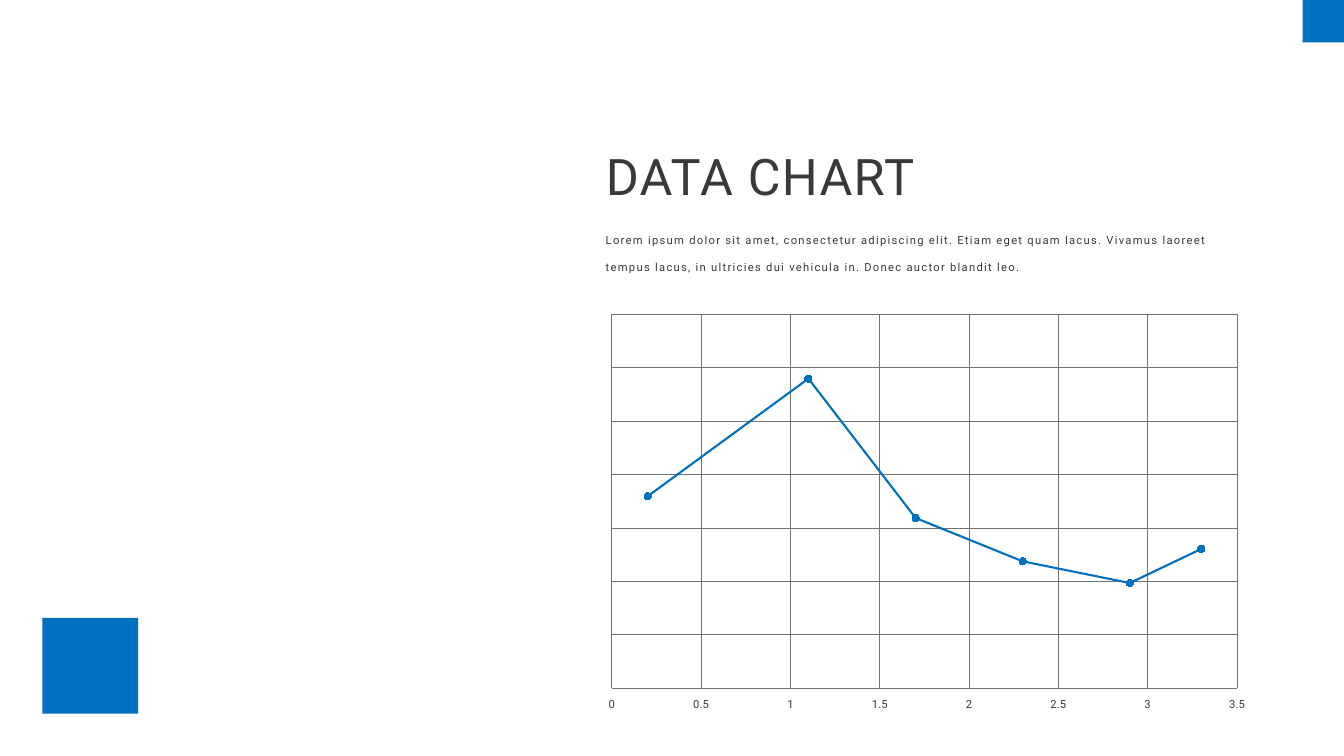
from lxml.etree import SubElement
from pptx import Presentation
from pptx.chart.data import XyChartData
from pptx.dml.color import RGBColor
from pptx.enum.chart import XL_CHART_TYPE as ChartType
from pptx.enum.chart import XL_MARKER_STYLE as Marker
from pptx.enum.chart import XL_TICK_LABEL_POSITION as LabelPos
from pptx.enum.chart import XL_TICK_MARK as Tick
from pptx.enum.shapes import MSO_SHAPE as Shape
from pptx.enum.text import MSO_ANCHOR as Anchor
from pptx.enum.text import MSO_AUTO_SIZE as AutoSize
from pptx.enum.text import PP_ALIGN as Align
from pptx.oxml.ns import qn
from pptx.util import Inches, Pt

TITLE = "DATA CHART"
INTRO = ("Lorem ipsum dolor sit amet, consectetur adipiscing elit. Etiam eget quam lacus. "
         "Vivamus laoreet tempus lacus, in ultricies dui vehicula in. Donec auctor blandit leo.")
POINTS = [(0.2, 62), (1.1, 100), (1.7, 55), (2.3, 41), (2.9, 34), (3.3, 45)]
X_MAX, X_STEP = 3.5, 0.5
Y_MAX, Y_ROWS, BASELINE_ROW = 120.7, 7, 3

SLIDE = (13.33, 7.5)
SQUARES = [(12.92, 0, 0.42), (0.42, 6.13, 0.95)]  # left, top, side
TITLE_BOX = (5.91, 1.09, 4.54, 0.93)
INTRO_BOX = (5.91, 2.13, 6.57, 0.61)
CHART_BOX = (5.91, 3.04, 6.57, 4.04)
PLOT_BOX = (6.07, 3.12, 6.2, 3.71)


class Theme:
    font = "Roboto"
    blue = RGBColor.from_string("0070C0")
    text = RGBColor.from_string("3B3838")
    grid = RGBColor.from_string("767171")
    title, body = Pt(36), Pt(8)
    tracking = "90"


def set_all(obj, values):
    for name, value in values.items():
        setattr(obj, name, value)


def box(values):
    return [Inches(v) for v in values]


def write(sp, text, size, line_spacing):
    tf = sp.text_frame
    set_all(tf, dict(word_wrap=True, auto_size=AutoSize.SHAPE_TO_FIT_TEXT,
                     vertical_anchor=Anchor.TOP))
    p = tf.paragraphs[0]
    set_all(p, dict(alignment=Align.LEFT, line_spacing=line_spacing))
    r = p.add_run()
    r.text = text
    set_all(r.font, dict(name=Theme.font, size=size))
    r.font.color.rgb = Theme.text
    r._r.get_or_add_rPr().set("spc", Theme.tracking)


def style_line(line, color, width):
    line.color.rgb = color
    line.width = Pt(width)


def fix_plot_area(chart):
    """Pin the inner plot area to PLOT_BOX, as fractions of CHART_BOX."""
    left, top, width, height = CHART_BOX
    x, y, w, h = PLOT_BOX
    area = chart._chartSpace.chart.plotArea
    layout = area.find(qn("c:layout"))
    if layout is None:
        layout = SubElement(area, qn("c:layout"))
        area.insert(0, layout)
    manual = SubElement(layout, qn("c:manualLayout"))
    settings = dict(layoutTarget="inner", xMode="edge", yMode="edge",
                    x=(x - left) / width, y=(y - top) / height, w=w / width, h=h / height)
    for tag, value in settings.items():
        SubElement(manual, qn("c:" + tag)).set("val", str(value))


def add_data_chart(slide):
    data = XyChartData()
    series = data.add_series("Series 1")
    for x, y in POINTS:
        series.add_data_point(x, y)
    chart = slide.shapes.add_chart(ChartType.XY_SCATTER_LINES, *box(CHART_BOX), data).chart
    set_all(chart, dict(has_legend=False, has_title=False))
    set_all(chart.font, dict(name=Theme.font, size=Theme.body))
    chart.font.color.rgb = Theme.text
    chart.plots[0].vary_by_categories = False

    row = Y_MAX / Y_ROWS
    x_axis, y_axis = chart.category_axis, chart.value_axis
    for axis, top, step in [(x_axis, X_MAX, X_STEP), (y_axis, Y_MAX, row)]:
        set_all(axis, dict(minimum_scale=0, maximum_scale=top, major_unit=step,
                           has_major_gridlines=True, major_tick_mark=Tick.NONE,
                           minor_tick_mark=Tick.NONE, tick_label_position=LabelPos.LOW))
        for line in (axis.major_gridlines.format.line, axis.format.line):
            style_line(line, Theme.grid, 0.75)
    set_all(x_axis.tick_labels, dict(number_format="General", number_format_is_linked=False))
    set_all(y_axis, dict(visible=False, crosses_at=BASELINE_ROW * row))

    s = chart.plots[0].series[0]
    s.smooth = False
    style_line(s.format.line, Theme.blue, 1.5)
    set_all(s.marker, dict(style=Marker.CIRCLE, size=5))
    s.marker.format.fill.solid()
    s.marker.format.fill.fore_color.rgb = Theme.blue
    style_line(s.marker.format.line, Theme.blue, 0.75)
    fix_plot_area(chart)


def add_square(slide, left, top, side):
    sp = slide.shapes.add_shape(Shape.RECTANGLE, *box((left, top, side, side)))
    sp.shadow.inherit = False
    sp.fill.solid()
    sp.fill.fore_color.rgb = Theme.blue
    sp.line.fill.background()


def main():
    prs = Presentation()
    prs.slide_width, prs.slide_height = box(SLIDE)
    slide = prs.slides.add_slide(prs.slide_layouts[5])
    title = slide.shapes.title
    set_all(title, dict(zip(("left", "top", "width", "height"), box(TITLE_BOX))))
    write(title, TITLE, Theme.title, 1.5)
    write(slide.shapes.add_textbox(*box(INTRO_BOX)), INTRO, Theme.body, 2.0)
    add_data_chart(slide)
    for square in SQUARES:
        add_square(slide, *square)
    prs.save("out.pptx")


if __name__ == "__main__":
    main()
